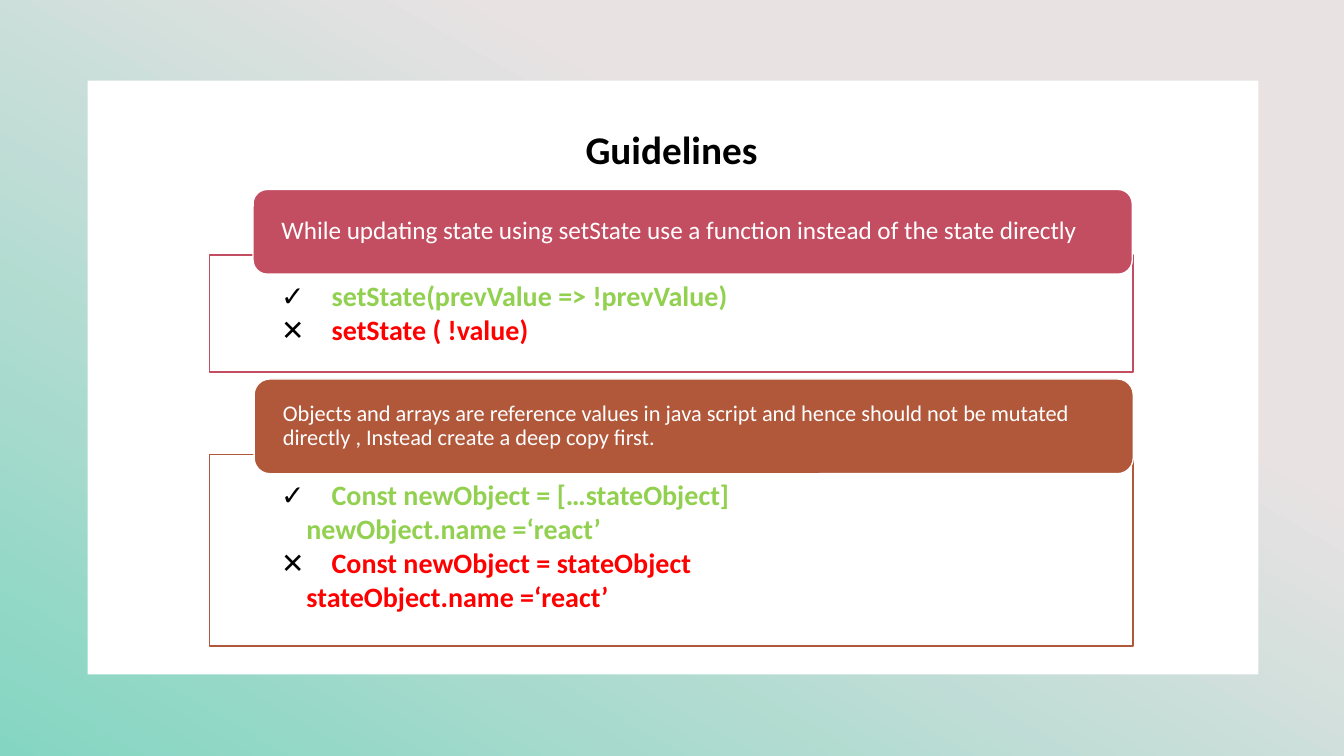
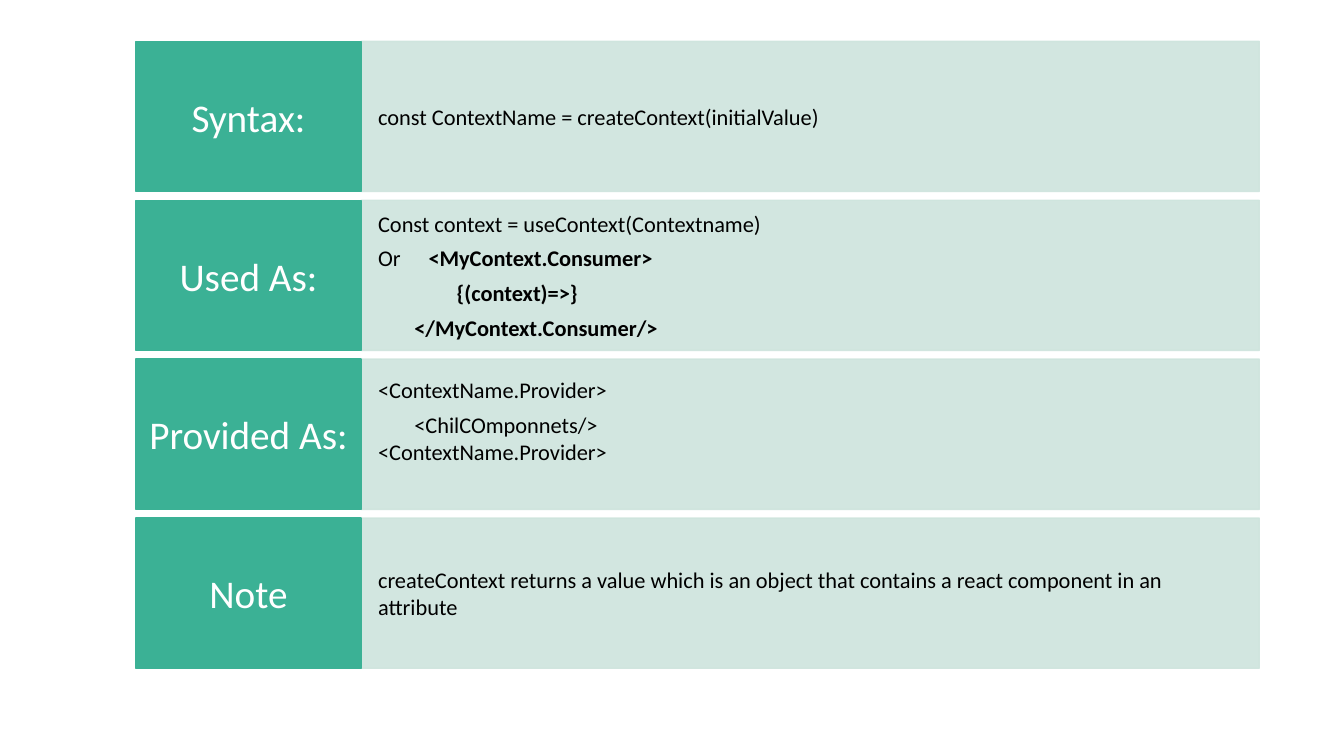
from dataclasses import dataclass

from lxml import etree
from pptx import Presentation
from pptx.dml.color import RGBColor
from pptx.enum.shapes import MSO_SHAPE
from pptx.enum.text import MSO_ANCHOR, PP_ALIGN
from pptx.oxml.ns import qn
from pptx.shapes.autoshape import Shape
from pptx.slide import Slide
from pptx.util import Inches, Pt

RECTANGLE = MSO_SHAPE.RECTANGLE
ROUNDED = MSO_SHAPE.ROUNDED_RECTANGLE
TOP = MSO_ANCHOR.TOP
MIDDLE = MSO_ANCHOR.MIDDLE
LEFT = PP_ALIGN.LEFT
CENTER = PP_ALIGN.CENTER

FONT = "Calibri"
WHITE = "FFFFFF"
BLACK = "000000"
GOOD = "92D050"
BAD = "FF0000"
ROSE = "C34D61"
RUST = "B1583B"
TEAL = "3BB195"
MINT = "CEE4DD"
PINK = "E8E2E3"
AQUA = "84D6C2"

SLIDE_WIDTH, SLIDE_HEIGHT = 13.33, 7.5
ROW_COUNT = 4
FIRST_ROW, LAST_ROW, ROW_HEIGHT = 0.41, 5.14, 1.49
LABEL_LEFT, LABEL_WIDTH, DETAIL_WIDTH = 1.35, 2.23, 8.91


@dataclass(frozen=True)
class Box:
    left: float
    top: float
    width: float
    height: float


@dataclass(frozen=True)
class Line:
    text: str
    color: str = BLACK
    bold: bool = False
    lead: str = ""
    stop: float = 0
    indent: float = 0
    after: float = 0


@dataclass(frozen=True)
class TextStyle:
    size: float
    align: PP_ALIGN = LEFT
    anchor: MSO_ANCHOR = MIDDLE
    spacing: float = 1.0
    insets: tuple[float, float, float, float] = (0, 0, 0, 0)


@dataclass(frozen=True)
class Guideline:
    heading: str
    heading_size: float
    heading_box: Box
    body_box: Box
    color: str
    lines: list[Line]


@dataclass(frozen=True)
class Row:
    label: str
    lines: list[Line]
    bottom: float = 0


GUIDELINES = [
    Guideline(
        "While updating state using setState use a function instead of the state directly",
        18, Box(2.51, 1.88, 8.72, 0.84), Box(2.08, 2.53, 9.16, 1.16), ROSE,
        [
            Line("setState(prevValue => !prevValue)", GOOD, True, "✓", stop=0.36, after=2.5),
            Line("setState ( !value)", BAD, True, "✕", stop=0.36, after=2.5),
        ],
    ),
    Guideline(
        "Objects and arrays are reference values in java script and hence should not be "
        "mutated directly , Instead create a deep copy first.",
        16, Box(2.52, 3.76, 8.72, 0.94), Box(2.08, 4.51, 9.16, 1.9), RUST,
        [
            Line("Const newObject = […stateObject]", GOOD, True, "✓", stop=0.29, after=2.5),
            Line("newObject.name =‘react’", GOOD, True, indent=0.25, after=2.5),
            Line("Const newObject = stateObject", BAD, True, "✕", stop=0.29, after=2.5),
            Line("stateObject.name =‘react’", BAD, True, indent=0.25, after=2.5),
        ],
    ),
]

ROWS = [
    Row("Syntax:", [Line("const ContextName = createContext(initialValue)")]),
    Row("Used As:", [
        Line("Const context = useContext(Contextname)", after=5.6),
        Line("<MyContext.Consumer>", bold=True, lead="Or", stop=0.38, after=5.6),
        Line("{(context)=>}", bold=True, indent=0.78, after=5.6),
        Line("</MyContext.Consumer/>", bold=True, indent=0.36),
    ]),
    Row("Provided As:", [
        Line("<ContextName.Provider>", after=5.6),
        Line("<ChilCOmponnets/>", indent=0.36),
        Line("<ContextName.Provider>"),
    ], bottom=0.27),
    Row("Note", [
        Line("createContext returns a value which is an object that contains "
             "a react component in an attribute"),
    ]),
]


def rgb(value: str) -> RGBColor:
    return RGBColor.from_string(value)


def set_opacity(shape: Shape, percent: int) -> None:
    for color in shape._element.spPr.iter(qn("a:srgbClr")):
        etree.SubElement(color, qn("a:alpha"), val=str(percent * 1000))


def add_panel(page: Slide, box: Box, fill: str, line: str = "",
              kind: MSO_SHAPE = RECTANGLE) -> Shape:
    panel = page.shapes.add_shape(kind, Inches(box.left), Inches(box.top),
                                  Inches(box.width), Inches(box.height))
    panel.shadow.inherit = False
    panel.fill.solid()
    panel.fill.fore_color.rgb = rgb(fill)
    if line:
        panel.line.color.rgb = rgb(line)
        panel.line.width = Pt(1)
    else:
        panel.line.fill.background()
    return panel


def write_lines(shape: Shape, lines: list[Line], style: TextStyle) -> None:
    frame = shape.text_frame
    frame.word_wrap = True
    frame.vertical_anchor = style.anchor
    (frame.margin_left, frame.margin_top,
     frame.margin_right, frame.margin_bottom) = map(Inches, style.insets)
    for index, line in enumerate(lines):
        para = frame.add_paragraph() if index else frame.paragraphs[0]
        para.alignment = style.align
        para.line_spacing = style.spacing
        para.space_after = Pt(line.after)
        properties = para._p.get_or_add_pPr()
        properties.set("marL", str(Inches(line.indent)))
        properties.set("indent", "0")
        if line.lead:
            stops = etree.SubElement(properties, qn("a:tabLst"))
            etree.SubElement(stops, qn("a:tab"), pos=str(Inches(line.stop)), algn="l")
            lead = para.add_run()
            lead.text = line.lead + "\t"
            lead.font.bold = False
            lead.font.color.rgb = rgb(BLACK)
        para.font.name = FONT
        para.font.size = Pt(style.size)
        para.font.bold = line.bold
        para.font.color.rgb = rgb(line.color)
        para.add_run().text = line.text


def add_backdrop(page: Slide) -> None:
    backdrop = add_panel(page, Box(0, 0, SLIDE_WIDTH, SLIDE_HEIGHT), PINK)
    backdrop.fill.gradient()
    backdrop.fill.gradient_angle = 240
    for stop, (position, color) in zip(backdrop.fill.gradient_stops,
                                       [(0.32, PINK), (1.0, AQUA)]):
        stop.position = position
        stop.color.rgb = rgb(color)
    add_panel(page, Box(0.87, 0.8, 11.61, 5.89), WHITE)


def add_guideline(page: Slide, guideline: Guideline) -> None:
    body = add_panel(page, guideline.body_box, WHITE, guideline.color)
    write_lines(body, guideline.lines,
                TextStyle(20, anchor=TOP, spacing=0.9, insets=(0.71, 0.27, 0.71, 0.16)))
    heading = add_panel(page, guideline.heading_box, guideline.color, WHITE, ROUNDED)
    write_lines(heading, [Line(guideline.heading, WHITE)],
                TextStyle(guideline.heading_size, spacing=0.9, insets=(0.24, 0, 0.24, 0)))


def add_row(page: Slide, row: Row, top: float) -> None:
    detail = add_panel(page, Box(LABEL_LEFT + LABEL_WIDTH, top, DETAIL_WIDTH, ROW_HEIGHT),
                       MINT, MINT)
    set_opacity(detail, 90)
    write_lines(detail, row.lines, TextStyle(16, insets=(0.17, 0, 0.17, row.bottom)))
    label = add_panel(page, Box(LABEL_LEFT, top, LABEL_WIDTH, ROW_HEIGHT), TEAL, TEAL)
    write_lines(label, [Line(row.label, WHITE)],
                TextStyle(28, align=CENTER, insets=(0.05, 0, 0.05, 0)))


def build_guidelines(page: Slide) -> None:
    add_backdrop(page)
    title = page.shapes.add_textbox(Inches(2.33), Inches(1.25), Inches(8.66), Inches(0.63))
    write_lines(title, [Line("Guidelines", bold=True)],
                TextStyle(28, CENTER, TOP, 0.9, (0.1, 0.05, 0.1, 0.05)))
    for guideline in GUIDELINES:
        add_guideline(page, guideline)


def build_context(page: Slide) -> None:
    pitch = (LAST_ROW - FIRST_ROW) / (ROW_COUNT - 1)
    for index, row in enumerate(ROWS):
        add_row(page, row, FIRST_ROW + index * pitch)


def main() -> None:
    deck = Presentation()
    deck.slide_width = Inches(SLIDE_WIDTH)
    deck.slide_height = Inches(SLIDE_HEIGHT)
    blank = deck.slide_layouts[6]
    for build in (build_guidelines, build_context):
        build(deck.slides.add_slide(blank))
    deck.save("out.pptx")


if __name__ == "__main__":
    main()
